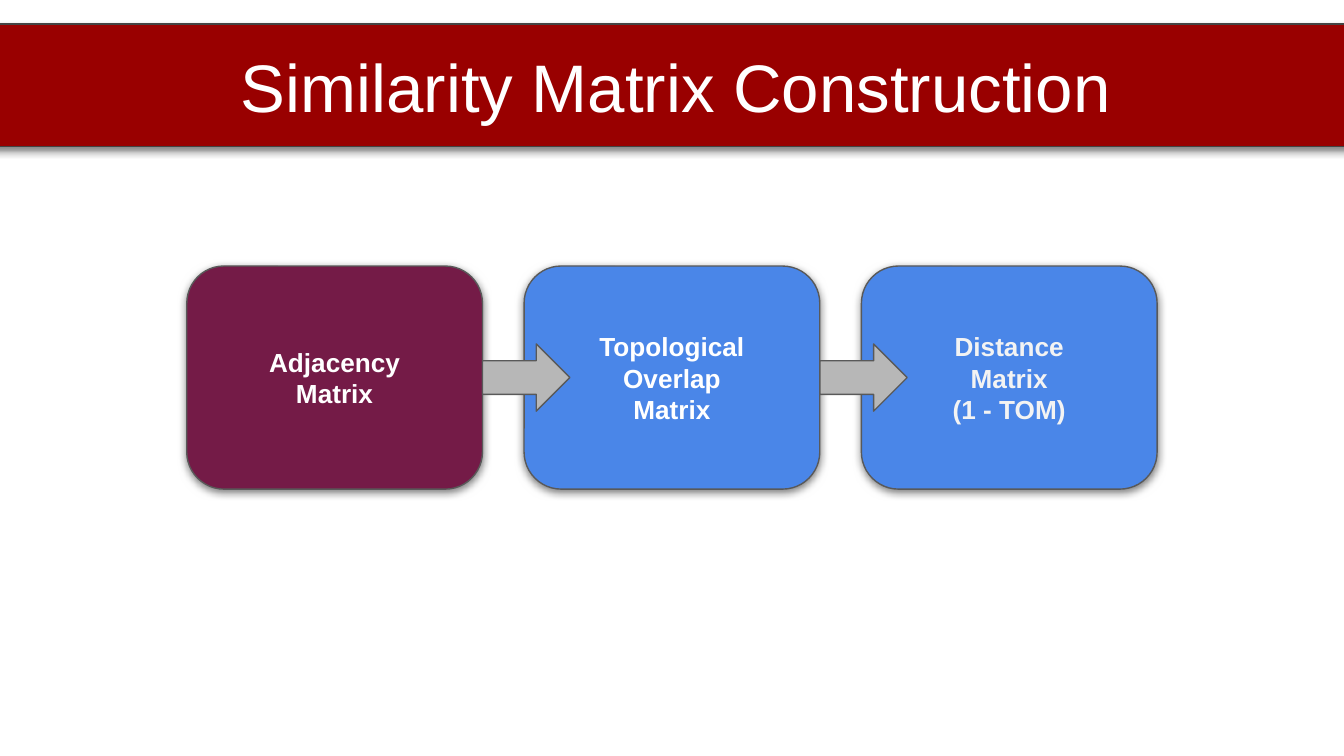
from lxml.etree import SubElement
from pptx import Presentation
from pptx.dml.color import RGBColor
from pptx.enum.shapes import MSO_SHAPE as Geom
from pptx.enum.text import MSO_ANCHOR as Anchor, PP_ALIGN as Align
from pptx.oxml.ns import qn
from pptx.util import Inches, Pt

HUES = {"red": "990000", "plum": "741B47", "blue": "4A86E8", "gray": "B7B7B7",
        "edge": "595959", "dark": "434343", "white": "FFFFFF", "pale": "F3F3F3"}
TITLE = "Similarity Matrix Construction"
STEPS = [
    ("Adjacency\nMatrix", "plum", "white"),
    ("Topological\nOverlap\nMatrix", "blue", "white"),
    ("Distance\nMatrix\n(1 - TOM)", "blue", "pale"),
]
LEFT, TOP, WIDE, HIGH, PITCH = 1.39, 1.98, 2.2, 1.66, 2.51
ARROW_W, ARROW_H = 0.65, 0.5


def rgb(name):
    return RGBColor.from_string(HUES[name])


def place(shape, *box):
    shape.left, shape.top, shape.width, shape.height = map(Inches, box)


def paint(shape, fill, line):
    shape.shadow.inherit = False
    shape.fill.solid()
    shape.fill.fore_color.rgb = rgb(fill)
    shape.line.color.rgb = rgb(line)
    shape.line.width = Pt(0.75)


def shade(shape):
    fx = shape._element.spPr.find(qn("a:effectLst"))
    drop = SubElement(fx, qn("a:outerShdw"), blurRad=str(Pt(4.5)), dist=str(Pt(1.5)),
                      dir="5400000", algn="bl", rotWithShape="0")
    tint = SubElement(drop, qn("a:srgbClr"), val="000000")
    SubElement(tint, qn("a:alpha"), val="50000")


def write(shape, text, size, color, bold):
    frame = shape.text_frame
    frame.text = text
    frame.word_wrap = True
    frame.vertical_anchor = Anchor.MIDDLE
    frame.margin_left = frame.margin_right = Inches(0.1)
    frame.margin_top = frame.margin_bottom = Inches(0.1)
    for para in frame.paragraphs:
        para.alignment = Align.CENTER
        font = para.font
        font.name, font.size, font.bold = "Arial", Pt(size), bold
        font.color.rgb = rgb(color)


def main():
    """Build the similarity matrix slide."""
    deck = Presentation()
    deck.slide_width = Inches(10)
    deck.slide_height = deck.slide_width * 9 // 16
    slide = deck.slides.add_slide(deck.slide_layouts[5])
    shapes = slide.shapes

    title = shapes.title
    place(title, -0.27, 0.18, 10.6, 0.91)
    paint(title, "red", "dark")
    shade(title)
    write(title, TITLE, 36, "white", False)

    lefts = [LEFT + i * PITCH for i in range(len(STEPS))]
    for left, (text, fill, color) in zip(lefts, STEPS):
        card = shapes.add_shape(Geom.ROUNDED_RECTANGLE, *map(Inches, (left, TOP, WIDE, HIGH)))
        paint(card, fill, "edge")
        shade(card)
        write(card, text, 14, color, True)

    for left in lefts[:-1]:
        box = left + WIDE, TOP + (HIGH - ARROW_H) / 2, ARROW_W, ARROW_H
        arrow = shapes.add_shape(Geom.RIGHT_ARROW, *map(Inches, box))
        paint(arrow, "gray", "edge")

    deck.save("out.pptx")


if __name__ == "__main__":
    main()
